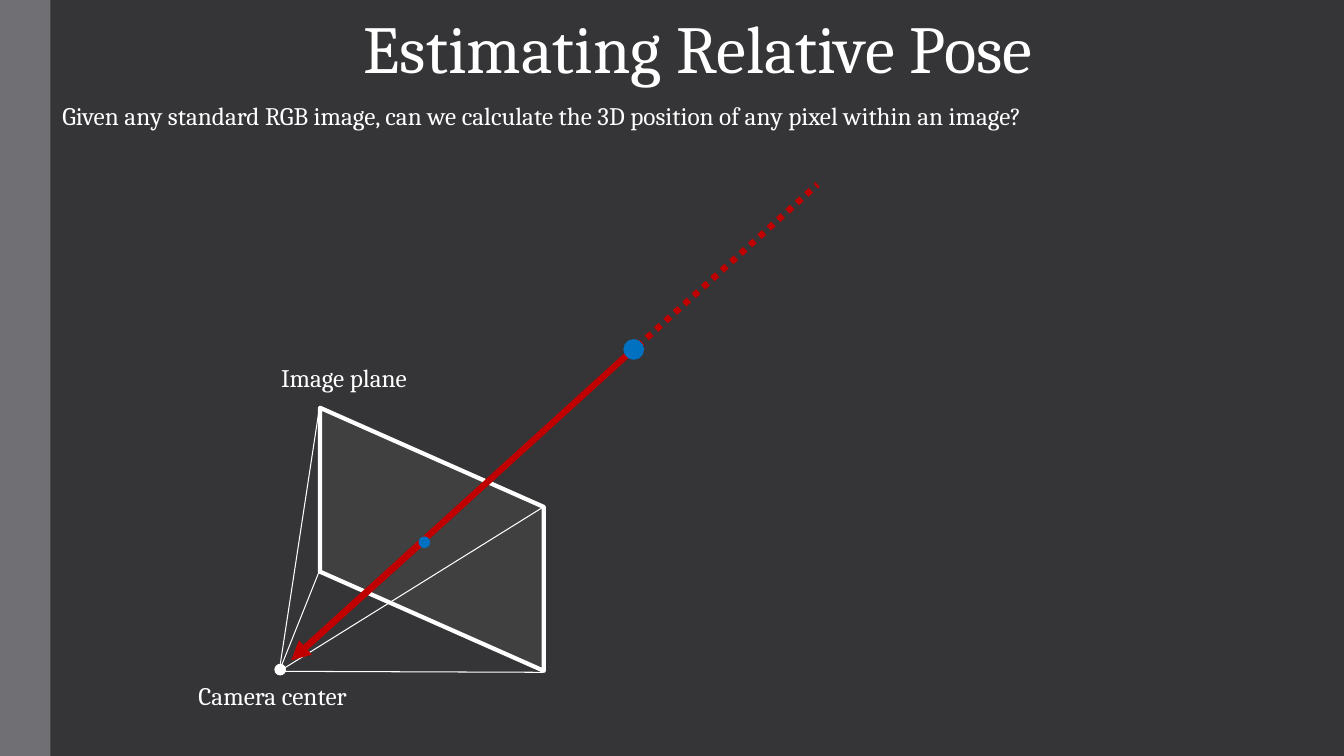
from dataclasses import dataclass
from typing import Optional

from lxml import etree
from pptx import Presentation
from pptx import util as u
from pptx.dml.color import RGBColor
from pptx.enum import dml, shapes, text
from pptx.oxml.ns import qn

# Grid: 40 columns by 22.5 rows of square cells
COLUMNS, ROWS = 40, 22.5
CELL = u.Inches(7.5) / ROWS

Point = tuple[float, float]


@dataclass(frozen=True)
class Theme:
    font: str = "Cambria"
    background: str = "353537"
    sidebar: str = "6F6F74"
    white: str = "FFFFFF"
    plane: str = "404040"
    ray: str = "C00000"
    point: str = "0070C0"
    title_size: float = 48
    body_size: float = 18
    ray_width: float = 4.5
    plane_width: float = 3
    edge_width: float = 0.75
    dot_width: float = 1.1


THEME = Theme()


@dataclass(frozen=True)
class Label:
    wording: str
    column: float
    row: float
    columns: float
    rows: float = 1.2
    size: float = THEME.body_size
    alignment: text.PP_ALIGN = text.PP_ALIGN.LEFT


@dataclass(frozen=True)
class Line:
    start: Point
    end: Point
    color: str = THEME.ray
    width: float = THEME.ray_width
    dotted: bool = False
    arrow: bool = False


@dataclass(frozen=True)
class Dot:
    center: Point
    diameter: float
    color: str


def cells(count: float) -> u.Emu:
    return u.Emu(round(count * CELL))


def rgb(color: str) -> RGBColor:
    return RGBColor.from_string(color)


def add_filled(slide, kind, column: float, row: float, columns: float, rows: float,
               fill: str, line: Optional[str] = None, width: float = 0):
    shape = slide.shapes.add_shape(kind, *map(cells, (column, row, columns, rows)))
    shape.shadow.inherit = False
    shape.fill.solid()
    shape.fill.fore_color.rgb = rgb(fill)
    if line is None:
        shape.line.fill.background()
    else:
        shape.line.color.rgb = rgb(line)
        shape.line.width = u.Pt(width)
    return shape


def add_label(slide, label: Label) -> None:
    box = slide.shapes.add_textbox(
        *map(cells, (label.column, label.row, label.columns, label.rows)))
    frame = box.text_frame
    frame.word_wrap = True
    frame.auto_size = text.MSO_AUTO_SIZE.SHAPE_TO_FIT_TEXT
    paragraph = frame.paragraphs[0]
    paragraph.text = label.wording
    paragraph.alignment = label.alignment
    paragraph.font.name = THEME.font
    paragraph.font.size = u.Pt(label.size)
    paragraph.font.color.rgb = rgb(THEME.white)


def add_line(slide, line: Line) -> None:
    connector = slide.shapes.add_connector(
        shapes.MSO_CONNECTOR.STRAIGHT, *map(cells, line.start + line.end))
    connector.line.color.rgb = rgb(line.color)
    connector.line.width = u.Pt(line.width)
    if line.dotted:
        connector.line.dash_style = dml.MSO_LINE.ROUND_DOT
    properties = connector._element.spPr
    if line.arrow:
        etree.SubElement(properties.find(qn("a:ln")), qn("a:tailEnd"), type="triangle")
    etree.SubElement(properties, qn("a:effectLst"))


def add_dot(slide, dot: Dot) -> None:
    column, row = (place - dot.diameter / 2 for place in dot.center)
    add_filled(slide, shapes.MSO_SHAPE.OVAL, column, row, dot.diameter, dot.diameter,
               dot.color, dot.color, THEME.dot_width)


# Geometry of the camera
CAMERA: Point = (8.31, 19.98)
RAY_TIP: Point = (8.67, 19.65)
PLANE_CORNERS: list[Point] = [(16.17, 15.09), (9.51, 12.12), (16.17, 20.01), (9.51, 16.98)]

RAYS = [
    Line((18.69, 10.56), (24.33, 5.49), dotted=True),
    Line((18.87, 10.38), RAY_TIP, arrow=True),
]
EDGES = [Line(corner, CAMERA, THEME.white, THEME.edge_width) for corner in PLANE_CORNERS]
PIXEL_RAY = Line((12.6, 16.11), RAY_TIP, arrow=True)

DOTS = [
    Dot((12.63, 16.14), 0.3, THEME.point),
    Dot((8.34, 19.93), 0.3, THEME.white),
    Dot((18.86, 10.4), 0.57, THEME.point),
]

LABELS = [
    Label("Estimating Relative Pose", 1.56, 0.03, 38.43, 2.73,
          THEME.title_size, text.PP_ALIGN.CENTER),
    Label("Given any standard RGB image, can we calculate the 3D position "
          "of any pixel within an image?", 1.56, 2.85, 37.83),
    Label("Camera center", 5.61, 20.1, 6.12),
    Label("Image plane", 8.07, 10.65, 6.12),
]


def main() -> None:
    presentation = Presentation()
    presentation.slide_width = cells(COLUMNS)
    presentation.slide_height = cells(ROWS)
    slide = presentation.slides.add_slide(presentation.slide_layouts[6])

    # Background and sidebar
    slide.background.fill.solid()
    slide.background.fill.fore_color.rgb = rgb(THEME.background)
    add_filled(slide, shapes.MSO_SHAPE.RECTANGLE, 0, 0, 1.5, ROWS, THEME.sidebar)

    # Title, question and captions
    for label in LABELS:
        add_label(slide, label)

    # Image plane
    plane = add_filled(slide, shapes.MSO_SHAPE.PARALLELOGRAM, 8.94, 12.72, 7.83, 6.66,
                       THEME.plane, THEME.white, THEME.plane_width)
    plane.adjustments[0] = 0.443
    plane.rotation = 270

    # Rays and camera edges
    for line in [*RAYS, *EDGES, PIXEL_RAY]:
        add_line(slide, line)

    # Pixel, camera center and point in space
    for dot in DOTS:
        add_dot(slide, dot)

    presentation.save("out.pptx")


if __name__ == "__main__":
    main()
